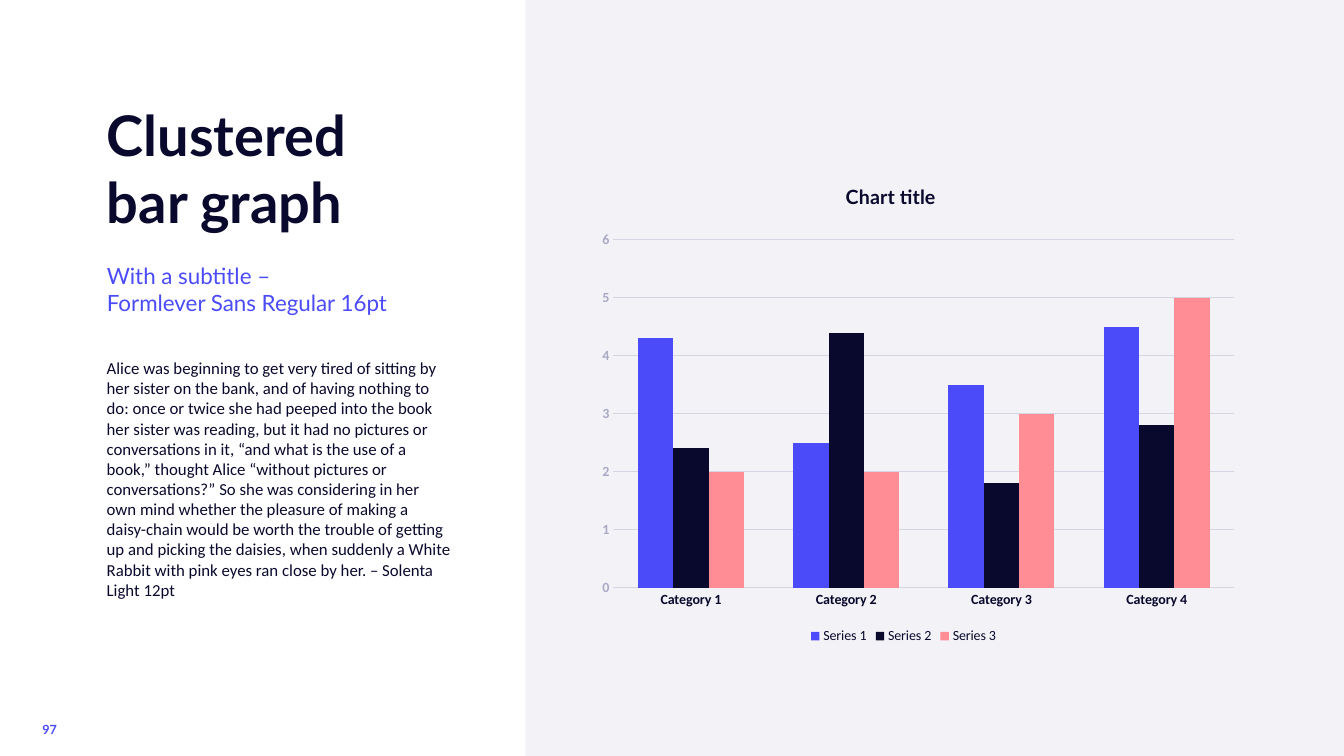
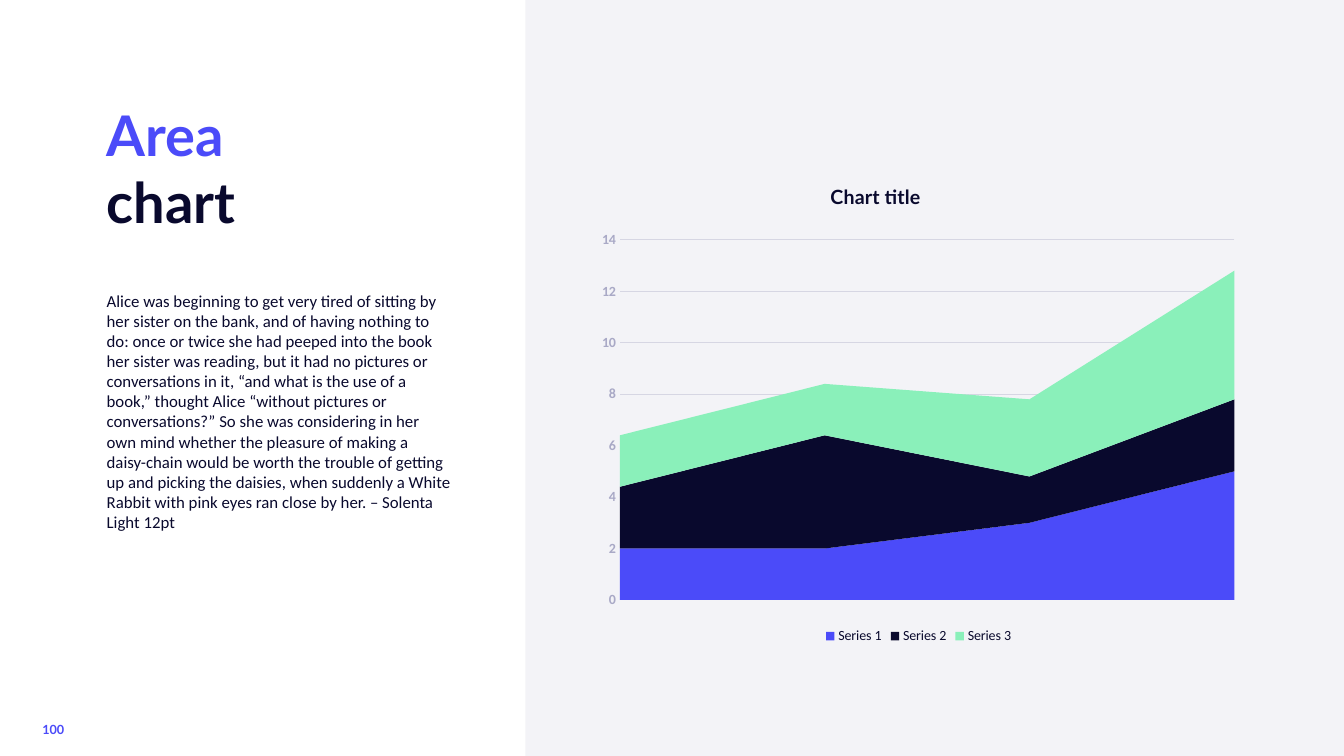
from dataclasses import dataclass

import lxml.etree
import pptx
import pptx.chart.data
import pptx.dml.color
import pptx.enum.chart
import pptx.enum.shapes
import pptx.enum.text
import pptx.oxml.ns
import pptx.util
from pptx.util import Inches

BLUE, NAVY, CORAL, MINT = "4B4BF9", "09092D", "FF8D95", "8AF0BA"
PANEL, GRID, MUTED = "F3F3F7", "D6D6E3", "A9A9C6"
HEADING_FONT, BODY_FONT = "Lato", "Calibri"
TITLE_ONLY = 5

STORY = (
    "Alice was beginning to get very tired of sitting by her sister on the bank, "
    "and of having nothing to do: once or twice she had peeped into the book her "
    "sister was reading, but it had no pictures or conversations in it, “and what "
    "is the use of a book,” thought Alice “without pictures or conversations?” So "
    "she was considering in her own mind whether the pleasure of making a "
    "daisy-chain would be worth the trouble of getting up and picking the daisies, "
    "when suddenly a White Rabbit with pink eyes ran close by her. – Solenta "
    "Light 12pt"
)


@dataclass(frozen=True)
class TitleLine:
    text: str
    color: str = NAVY
    size: float = 40
    bold: bool = True
    space_before: float = 0


@dataclass(frozen=True)
class Series:
    name: str
    values: tuple[float, ...]
    color: str


@dataclass(frozen=True)
class Placement:
    """Fractions of the chart's width and height; no size means automatic."""
    x: float
    y: float
    width: float | None = None
    height: float | None = None


@dataclass(frozen=True)
class ChartDesign:
    kind: pptx.enum.chart.XL_CHART_TYPE
    categories: tuple[str, ...]
    series: tuple[Series, ...]
    maximum: float
    unit: float
    plot: Placement
    title: Placement
    legend: Placement | None = None


@dataclass(frozen=True)
class ChartPage:
    number: int
    title: tuple[TitleLine, ...]
    title_height: float
    body_top: float
    chart: ChartDesign


FALLING = (2.4, 4.4, 1.8, 2.8)
RISING = (2, 2, 3, 5)

PAGES = (
    ChartPage(
        number=97,
        title=(
            TitleLine("Clustered"),
            TitleLine("bar graph"),
            TitleLine("With a subtitle –", BLUE, 16, False, 19.2),
            TitleLine("Formlever Sans Regular 16pt", BLUE, 16, False),
        ),
        title_height=2.26,
        body_top=3.5,
        chart=ChartDesign(
            kind=pptx.enum.chart.XL_CHART_TYPE.COLUMN_CLUSTERED,
            categories=tuple(f"Category {index}" for index in range(1, 5)),
            series=(
                Series("Series 1", (4.3, 2.5, 3.5, 4.5), BLUE),
                Series("Series 2", FALLING, NAVY),
                Series("Series 3", RISING, CORAL),
            ),
            maximum=6,
            unit=1,
            plot=Placement(0.037, 0.142, 0.942, 0.731),
            title=Placement(0.384, 0.014),
            legend=Placement(0.33, 0.95),
        ),
    ),
    ChartPage(
        number=100,
        title=(TitleLine("Area", BLUE), TitleLine("chart")),
        title_height=1.45,
        body_top=2.83,
        chart=ChartDesign(
            kind=pptx.enum.chart.XL_CHART_TYPE.AREA_STACKED,
            categories=("1", "2", "3", "4"),
            series=(
                Series("Series 1", RISING, BLUE),
                Series("Series 2", FALLING, NAVY),
                Series("Series 3", RISING, MINT),
            ),
            maximum=14,
            unit=2,
            plot=Placement(0.047, 0.142, 0.932, 0.757),
            title=Placement(0.361, 0.014),
        ),
    ),
)


def rgb(color: str) -> pptx.dml.color.RGBColor:
    return pptx.dml.color.RGBColor.from_string(color)


def style_font(font, name: str, size: float, color: str, bold: bool = False) -> None:
    font.name = name
    font.size = pptx.util.Pt(size)
    font.bold = bold
    font.color.rgb = rgb(color)


def style_line(line, color: str) -> None:
    line.color.rgb = rgb(color)
    line.width = pptx.util.Pt(0.75)


def add_text(page, left: float, top: float, width: float, height: float, text: str,
             font: str, size: float, color: str, bold: bool = False):
    box = page.shapes.add_textbox(Inches(left), Inches(top), Inches(width), Inches(height))
    box.text_frame.word_wrap = True
    span = box.text_frame.paragraphs[0].add_run()
    span.text = text
    style_font(span.font, font, size, color, bold)
    return box.text_frame


def add_panel(page) -> None:
    panel = page.shapes.add_shape(
        pptx.enum.shapes.MSO_SHAPE.RECTANGLE,
        Inches(5.21), Inches(0), Inches(8.12), Inches(7.5))
    panel.shadow.inherit = False
    panel.fill.solid()
    panel.fill.fore_color.rgb = rgb(PANEL)
    panel.line.fill.background()


def add_page_number(page, number: int) -> None:
    frame = add_text(page, 0.37, 7.13, 0.4, 0.24, str(number), HEADING_FONT, 9, BLUE, True)
    frame.margin_left = frame.margin_right = Inches(0.05)
    frame.margin_top = frame.margin_bottom = Inches(0.05)
    frame.paragraphs[0].line_spacing = 0.9


def fill_title(page, lines: tuple[TitleLine, ...], height: float) -> None:
    title = page.shapes.title
    title.left, title.top = Inches(0.96), Inches(0.95)
    title.width, title.height = Inches(3.9), Inches(height)
    frame = title.text_frame
    frame.word_wrap = True
    frame.auto_size = pptx.enum.text.MSO_AUTO_SIZE.NONE
    frame.vertical_anchor = pptx.enum.text.MSO_ANCHOR.TOP
    for index, line in enumerate(lines):
        para = frame.add_paragraph() if index else frame.paragraphs[0]
        para.alignment = pptx.enum.text.PP_ALIGN.LEFT
        if line.space_before:
            para.space_before = pptx.util.Pt(line.space_before)
        span = para.add_run()
        span.text = line.text
        style_font(span.font, HEADING_FONT, line.size, line.color, line.bold)


def place(part, placement: Placement, inner: bool = False, after: str = "") -> None:
    """Give a chart part a manual layout, put after the named child or first."""
    qn = pptx.oxml.ns.qn
    for old in part.findall(qn("c:layout")):
        part.remove(old)
    layout = lxml.etree.Element(qn("c:layout"))
    manual = lxml.etree.SubElement(layout, qn("c:manualLayout"))
    settings = [("layoutTarget", "inner")] if inner else []
    settings += [("xMode", "edge"), ("yMode", "edge"),
                 ("x", placement.x), ("y", placement.y)]
    if placement.width is not None:
        settings += [("w", placement.width), ("h", placement.height)]
    for tag, value in settings:
        lxml.etree.SubElement(manual, qn(f"c:{tag}")).set("val", str(value))
    if after:
        part.find(qn(after)).addnext(layout)
    else:
        part.insert(0, layout)


def style_axes(chart, design: ChartDesign, is_area: bool) -> None:
    no_ticks = pptx.enum.chart.XL_TICK_MARK.NONE
    value_axis, category_axis = chart.value_axis, chart.category_axis
    value_axis.minimum_scale = 0
    value_axis.maximum_scale = design.maximum
    value_axis.major_unit = design.unit
    value_axis.has_major_gridlines = True
    style_line(value_axis.major_gridlines.format.line, GRID)
    value_axis.format.line.fill.background()
    value_axis.major_tick_mark = no_ticks
    style_font(value_axis.tick_labels.font, BODY_FONT, 10, MUTED, True)
    if is_area:
        category_axis.visible = False
    else:
        category_axis.major_tick_mark = no_ticks
        style_line(category_axis.format.line, GRID)
        style_font(category_axis.tick_labels.font, BODY_FONT, 10, NAVY, True)


def add_chart(page, design: ChartDesign) -> None:
    data = pptx.chart.data.CategoryChartData()
    data.categories = design.categories
    for series in design.series:
        data.add_series(series.name, series.values)
    chart = page.shapes.add_chart(
        design.kind, Inches(5.84), Inches(1.71), Inches(6.54), Inches(4.72), data).chart
    is_area = design.kind == pptx.enum.chart.XL_CHART_TYPE.AREA_STACKED
    style_font(chart.font, HEADING_FONT, 12 if is_area else 10, NAVY)

    chart.has_title = True
    heading = chart.chart_title.text_frame.paragraphs[0].add_run()
    heading.text = "Chart title"
    style_font(heading.font, HEADING_FONT, 14, NAVY, True)
    place(chart.chart_title._element, design.title, after="c:tx")

    plot = chart.plots[0]
    plot.vary_by_categories = False
    if not is_area:
        plot.gap_width = 140
        plot.overlap = 0
    for drawn, series in zip(plot.series, design.series):
        drawn.format.fill.solid()
        drawn.format.fill.fore_color.rgb = rgb(series.color)
    style_axes(chart, design, is_area)
    place(chart._chartSpace.chart.plotArea, design.plot, inner=True)

    chart.has_legend = True
    chart.legend.position = pptx.enum.chart.XL_LEGEND_POSITION.BOTTOM
    chart.legend.include_in_layout = False
    style_font(chart.legend.font, BODY_FONT, 10, NAVY)
    if design.legend:
        place(chart.legend._element, design.legend, after="c:legendPos")


def add_chart_page(deck, content: ChartPage) -> None:
    page = deck.slides.add_slide(deck.slide_layouts[TITLE_ONLY])
    add_page_number(page, content.number)
    add_panel(page)
    fill_title(page, content.title, content.title_height)
    body = add_text(page, 0.96, content.body_top, 3.62, 2.12, STORY, BODY_FONT, 12, NAVY)
    body.paragraphs[0].line_spacing = pptx.util.Pt(14.4)
    add_chart(page, content.chart)


def main() -> None:
    deck = pptx.Presentation()
    deck.slide_width, deck.slide_height = Inches(13.33), Inches(7.5)
    for content in PAGES:
        add_chart_page(deck, content)
    deck.save("out.pptx")


if __name__ == "__main__":
    main()
